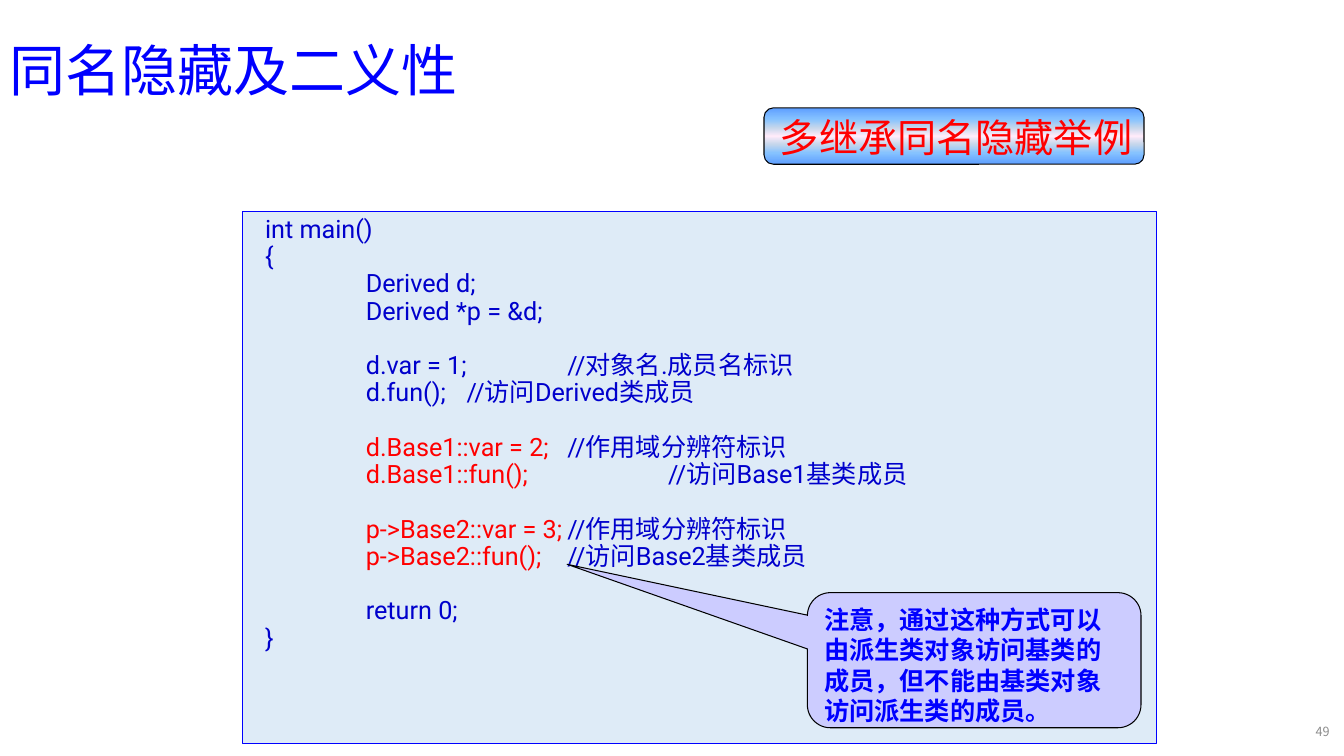
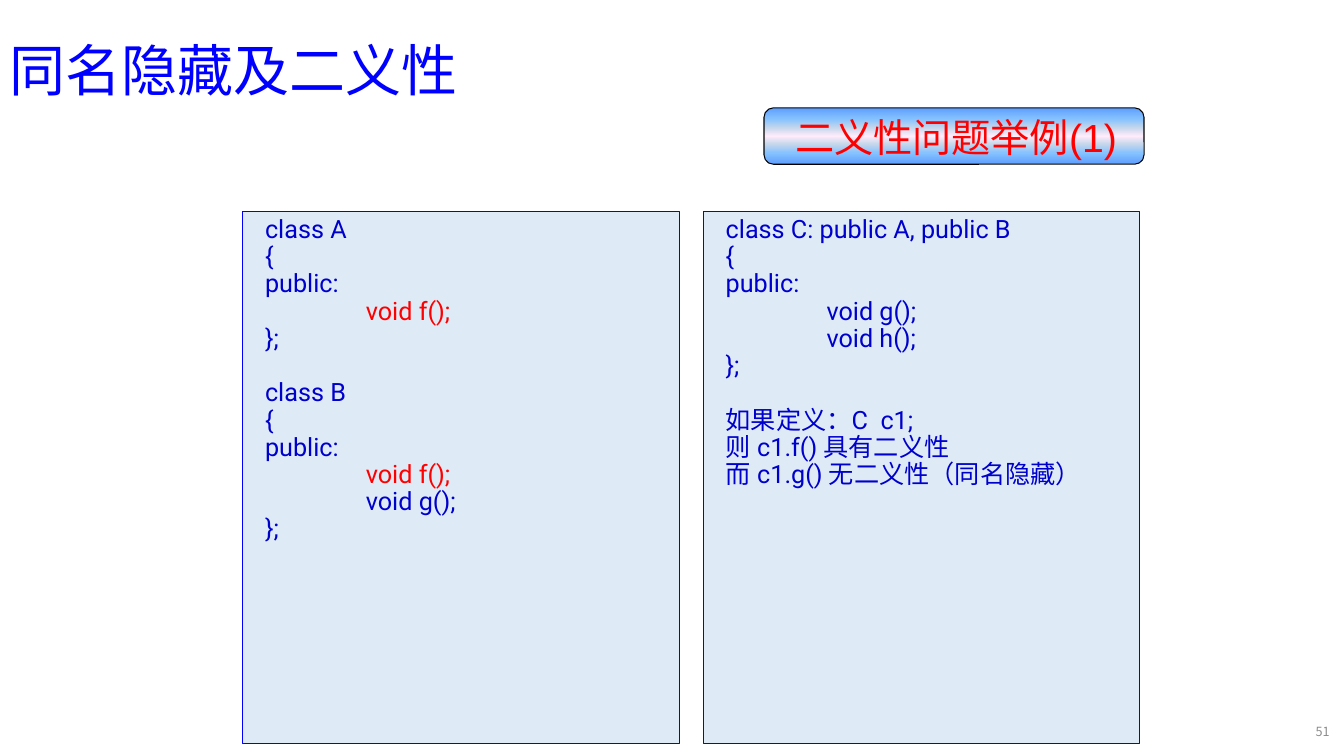
from lxml import etree
from pptx import Presentation
from pptx.dml.color import RGBColor
from pptx.enum.shapes import MSO_SHAPE
from pptx.enum.text import MSO_ANCHOR, PP_ALIGN
from pptx.oxml.ns import qn
from pptx.util import Inches, Pt

RECTANGLE = MSO_SHAPE.RECTANGLE
ROUNDED = MSO_SHAPE.ROUNDED_RECTANGLE
CALLOUT = MSO_SHAPE.ROUNDED_RECTANGULAR_CALLOUT
TOP, MIDDLE = MSO_ANCHOR.TOP, MSO_ANCHOR.MIDDLE
LEFT, CENTER, RIGHT = PP_ALIGN.LEFT, PP_ALIGN.CENTER, PP_ALIGN.RIGHT

COLORS = {
    "title": "0000FF",
    "accent": "FF0000",
    "code": "0000CC",
    "panel": "DEEBF7",
    "note": "CCCCFF",
    "outline": "000000",
    "number": "8C8C8C",
}
BADGE_STOPS = [(0, "5E9EFF"), (20, "85C2FF"), (35, "C4D6EB"), (50, "FFEBFA"),
               (65, "C4D6EB"), (80, "85C2FF"), (100, "5E9EFF")]
SANS, CODE_FONT, BADGE_FONT, NOTE_FONT = (
    "Noto Sans CJK SC", "Roboto", "Arial", "Times New Roman")
EAST_ASIAN_FACES = {NOTE_FONT: BADGE_FONT}

TITLE = "同名隐藏及二义性"
PANEL_LEFT, PANEL_TOP, PANEL_HEIGHT = 2.41, 2.1, 5.28
WIDE_PANEL, HALF_PANEL, PANEL_GAP = 9.06, 4.33, 0.24
BLANK_LINE = Pt(19.5)
TAB_COUNT = 4

# In code, "|" switches between the code colour and the accent colour.
MAIN_CODE = """int main()
{
\tDerived d;
\tDerived *p = &d;

\td.var = 1;\t//对象名.成员名标识
\td.fun();\t//访问Derived类成员

\t|d.Base1::var = 2;|\t//作用域分辨符标识
\t|d.Base1::fun();|\t\t//访问Base1基类成员

\t|p->Base2::var = 3;|\t//作用域分辨符标识
\t|p->Base2::fun();|\t//访问Base2基类成员

\treturn 0;
}"""
BASES_CODE = """class A
{
public:
\t|void f();|
};

class B
{
public:
\t|void f();|
\tvoid g();
};"""
DERIVED_CODE = """class C: public A, public B
{
public:
\tvoid g();
\tvoid h();
};

如果定义：C  c1;
则 c1.f() 具有二义性
而 c1.g() 无二义性（同名隐藏）"""
NOTE = "注意，通过这种方式可以由派生类对象访问基类的成员，但不能由基类对象访问派生类的成员。"


def rgb(name):
    return RGBColor.from_string(COLORS[name])


def style_span(span, size, face, color, bold=False):
    font = span.font
    font.size, font.name, font.bold = Pt(size), face, bold
    font.color.rgb = rgb(color)
    east_asian = etree.Element(qn("a:ea"),
                               typeface=EAST_ASIAN_FACES.get(face, face))
    font._element.find(qn("a:latin")).addnext(east_asian)


def fill_text(box, text, size, face, color, align=LEFT, anchor=TOP, bold=False):
    frame = box.text_frame
    frame.word_wrap = True
    frame.vertical_anchor = anchor
    frame.text = text
    para = frame.paragraphs[0]
    para.alignment = align
    style_span(para.runs[0], size, face, color, bold)
    return para


def add_label(page, place, *text_style, **options):
    box = page.shapes.add_textbox(*map(Inches, place))
    return fill_text(box, *text_style, **options)


def add_outlined(page, preset, place, line):
    shape = page.shapes.add_shape(preset, *map(Inches, place))
    shape.shadow.inherit = False
    shape.line.color.rgb = rgb(line)
    shape.line.width = Pt(0.75)
    return shape


def fill_solid(shape, color):
    shape.fill.solid()
    shape.fill.fore_color.rgb = rgb(color)


def fill_gradient(shape, stops):
    shape.fill.gradient()
    shape.fill.gradient_angle = 90
    stop_list = shape._element.spPr.find(qn("a:gradFill")).find(qn("a:gsLst"))
    for old_stop in list(stop_list):
        stop_list.remove(old_stop)
    for percent, color in stops:
        stop = etree.SubElement(stop_list, qn("a:gs"), pos=str(percent * 1000))
        etree.SubElement(stop, qn("a:srgbClr"), val=color)


def add_badge(page, text):
    badge = add_outlined(page, ROUNDED, (7.58, 1.07, 3.77, 0.56), "outline")
    fill_gradient(badge, BADGE_STOPS)
    add_label(page, (7.61, 1.07, 3.75, 0.45), text, 28, BADGE_FONT, "accent",
              align=CENTER)


def set_tabs(para):
    """Put a left tab stop at every inch."""
    tabs = etree.SubElement(para._p.get_or_add_pPr(), qn("a:tabLst"))
    for inch in range(1, TAB_COUNT + 1):
        etree.SubElement(tabs, qn("a:tab"), pos=str(Inches(inch)), algn="l")


def add_code_panel(page, left, width, code):
    panel = add_outlined(page, RECTANGLE,
                         (left, PANEL_TOP, width, PANEL_HEIGHT), "title")
    fill_solid(panel, "panel")
    frame = panel.text_frame
    frame.word_wrap = True
    frame.vertical_anchor = TOP
    frame.margin_left = Inches(0.22)
    para, after_blank = frame.paragraphs[0], False
    for index, line in enumerate(code.split("\n")):
        if not line:
            after_blank = True
            continue
        if index:
            para = frame.add_paragraph()
        set_tabs(para)
        para.alignment = LEFT
        para.line_spacing = 0.9
        if after_blank:
            para.space_before = BLANK_LINE
        after_blank = False
        for part, text in enumerate(line.split("|")):
            if text:
                span = para.add_run()
                span.text = text
                style_span(span, 18, CODE_FONT, "accent" if part % 2 else "code")


def add_note(page, text):
    note = add_outlined(page, CALLOUT, (8.01, 5.88, 3.31, 1.34), "outline")
    for index, value in enumerate((-1.22, -0.71, 0.17)):
        note.adjustments[index] = value
    fill_solid(note, "note")
    fill_text(note, text, 18, NOTE_FONT, "title", bold=True)


def add_page(deck, badge, number):
    """Add a page with the shared title, badge and page number."""
    page = deck.slides.add_slide(deck.slide_layouts[6])
    add_badge(page, badge)
    title = add_label(page, (0, 0, 11.5, 1.45), TITLE, 40, SANS, "title",
                      anchor=MIDDLE)
    title.line_spacing = 0.9
    add_label(page, (12.89, 7.06, 0.4, 0.4), number, 9, SANS, "number",
              align=RIGHT, anchor=MIDDLE)
    return page


def main():
    deck = Presentation()
    deck.slide_width, deck.slide_height = Inches(40 / 3), Inches(7.5)

    page = add_page(deck, "多继承同名隐藏举例", "49")
    add_code_panel(page, PANEL_LEFT, WIDE_PANEL, MAIN_CODE)
    add_note(page, NOTE)

    page = add_page(deck, "二义性问题举例(1)", "51")
    for column, code in enumerate((BASES_CODE, DERIVED_CODE)):
        left = PANEL_LEFT + column * (HALF_PANEL + PANEL_GAP)
        add_code_panel(page, left, HALF_PANEL, code)

    deck.save("out.pptx")


if __name__ == "__main__":
    main()
